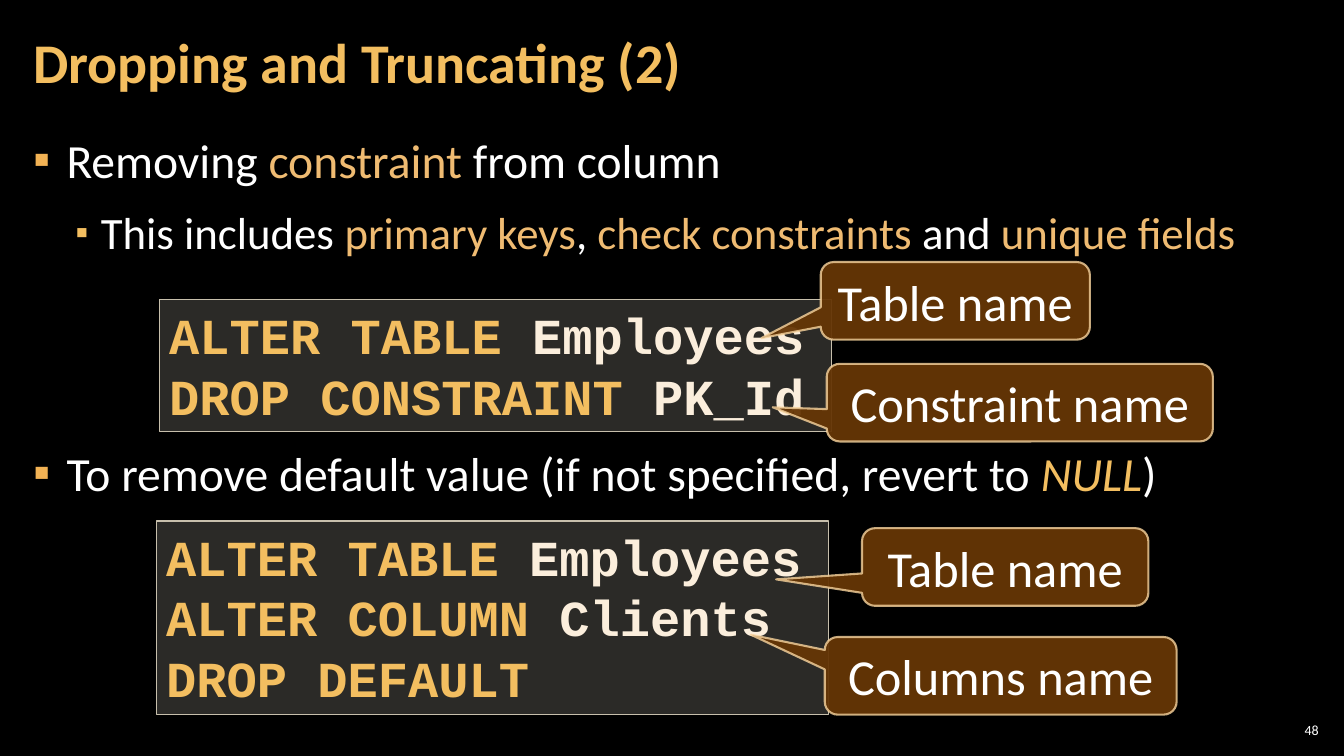
import pptx
import pptx.util
import pptx.dml.color
import pptx.enum.shapes
import pptx.enum.text
import pptx.oxml.ns
from lxml import etree

Inches = pptx.util.Inches
Pt = pptx.util.Pt
ALIGN = pptx.enum.text.PP_ALIGN
ANCHOR = pptx.enum.text.MSO_ANCHOR
SHAPE = pptx.enum.shapes.MSO_SHAPE

COLORS = {
    "background": "000000", "text": "FFFFFF", "title": "F3BE60",
    "accent": "EFBB72", "bullet": "F2B254", "code": "FBEEDC",
    "panel": "D9D5C7", "panel line": "C7BFAC",
    "callout": "663606", "callout line": "F8D49E",
}


def rgb(name):
    return pptx.dml.color.RGBColor.from_string(COLORS[name])


def add_element(parent, tag, **attributes):
    child = etree.SubElement(parent, pptx.oxml.ns.qn(tag))
    for key, value in attributes.items():
        child.set(key, value)
    return child


def set_alpha(shape, tag, percent):
    """Set the opacity of the fill (a:solidFill) or line (a:ln) of a shape."""
    holder = shape.element.spPr.find(pptx.oxml.ns.qn(tag))
    color = next(holder.iter(pptx.oxml.ns.qn("a:srgbClr")))
    add_element(color, "a:alpha", val=str(percent * 1000))


def place(shape, box):
    shape.left, shape.top, shape.width, shape.height = map(Inches, box)


def set_frame(frame, side=0.1, edge=0.05, anchor=ANCHOR.TOP):
    frame.word_wrap = True
    frame.auto_size = pptx.enum.text.MSO_AUTO_SIZE.NONE
    frame.margin_left = frame.margin_right = Inches(side)
    frame.margin_top = frame.margin_bottom = Inches(edge)
    frame.vertical_anchor = anchor


def write(para, spans, size, font="Calibri", bold=False, align=ALIGN.LEFT,
          before=0, after=0, spacing=1.0):
    """Fill a paragraph with (text, color name) spans; a third item means italic."""
    para.alignment = align
    para.space_before, para.space_after = Pt(before), Pt(after)
    para.line_spacing = spacing
    for text, color, *italic in spans:
        span = para.add_run()
        span.text = text
        span.font.name, span.font.size = font, Pt(size)
        span.font.bold, span.font.italic = bold, bool(italic)
        span.font.color.rgb = rgb(color)


def add_bullet(para, color, indent, hanging, percent):
    properties = para._p.get_or_add_pPr()
    properties.set("marL", str(Inches(indent)))
    properties.set("indent", str(-Inches(hanging)))
    holder = add_element(properties, "a:buClr")
    add_element(holder, "a:srgbClr", val=COLORS[color])
    add_element(properties, "a:buSzPct", val=str(percent * 1000))
    add_element(properties, "a:buFont", typeface="Calibri")
    add_element(properties, "a:buChar", char="▪")


def fill_title(page, box, text):
    title = page.shapes.title
    place(title, box)
    set_frame(title.text_frame, 0.12, 0.04, ANCHOR.MIDDLE)
    write(title.text_frame.paragraphs[0], [(text, "title")], 40, bold=True, spacing=0.9)


def fill_body(page, box, items):
    """Fill the body with (level, space before, spans) items."""
    body = page.placeholders[1]
    place(body, box)
    frame = body.text_frame
    set_frame(frame, 0.12, 0.04)
    for index, (level, before, spans) in enumerate(items):
        para = frame.add_paragraph() if index else frame.paragraphs[0]
        para.level = level
        if level:
            add_bullet(para, "title", 0.67, 0.25, 80)
        else:
            add_bullet(para, "bullet", 0.33, 0.33, 100)
        write(para, spans, 32 if level else 34, before=before, after=6)


def add_panel(page, kind, box, fill, fill_alpha, line, line_width, anchor):
    shape = page.shapes.add_shape(kind, *map(Inches, box))
    shape.shadow.inherit = False
    shape.fill.solid()
    shape.fill.fore_color.rgb = rgb(fill)
    set_alpha(shape, "a:solidFill", fill_alpha)
    shape.line.color.rgb = rgb(line)
    shape.line.width = Pt(line_width)
    set_frame(shape.text_frame, anchor=anchor)
    return shape


def add_code(page, box, lines):
    """Add a code panel from (keywords, name) lines."""
    panel = add_panel(page, SHAPE.RECTANGLE, box, "panel", 20, "panel line", 1, ANCHOR.TOP)
    frame = panel.text_frame
    for index, (keywords, name) in enumerate(lines):
        para = frame.add_paragraph() if index else frame.paragraphs[0]
        spans = [(keywords, "title")] + ([(name, "code")] if name else [])
        write(para, spans, 36, font="Courier New", bold=True)


def add_callout(page, box, tip, text):
    """Add a callout whose tip is given as shares of its size from its centre."""
    callout = add_panel(page, SHAPE.ROUNDED_RECTANGULAR_CALLOUT, box, "callout", 95,
                        "callout line", 1.5, ANCHOR.MIDDLE)
    set_alpha(callout, "a:ln", 80)
    callout.adjustments[0], callout.adjustments[1] = tip
    write(callout.text_frame.paragraphs[0], [(text, "text")], 36, align=ALIGN.CENTER)


def add_page_number(page, box, number):
    label = page.shapes.add_textbox(*map(Inches, box))
    set_frame(label.text_frame, 0.04, 0.04, ANCHOR.MIDDLE)
    write(label.text_frame.paragraphs[0], [(number, "text")], 10, align=ALIGN.RIGHT)


def build_slide(deck):
    page = deck.slides.add_slide(deck.slide_layouts[1])
    page.background.fill.solid()
    page.background.fill.fore_color.rgb = rgb("background")
    add_page_number(page, (12.65, 7.14, 0.47, 0.21), "48")
    fill_title(page, (0.21, 0.04, 10.47, 1.21), "Dropping and Truncating (2)")
    fill_body(page, (0.21, 1.26, 12.91, 6.09), [
        (0, 0, [("Removing ", "text"), ("constraint ", "accent"), ("from column", "text")]),
        (1, 6, [("This includes ", "text"), ("primary keys", "accent"), (", ", "text"),
                ("check constraints ", "accent"), ("and ", "text"),
                ("unique fields", "accent")]),
        (0, 126, [("To remove default value (if not specified, revert to ", "text"),
                  ("NULL", "title", "italic"), (")", "text")]),
    ])
    add_code(page, (1.58, 2.97, 6.67, 1.31), [
        ("ALTER TABLE ", "Employees"), ("DROP CONSTRAINT ", "PK_Id")])
    add_code(page, (1.55, 5.17, 6.67, 1.92), [
        ("ALTER TABLE ", "Employees"), ("ALTER COLUMN ", "Clients"), ("DROP DEFAULT", "")])
    for left, top, width, tip, text in [
        (8.14, 2.6, 2.67, (-0.72, 0.48), "Table name"),
        (8.2, 3.61, 3.83, (-0.64, 0.06), "Constraint name"),
        (8.55, 5.24, 2.84, (-0.8, 0.16), "Table name"),
        (8.18, 6.32, 3.49, (-0.71, -0.53), "Columns name"),
    ]:
        add_callout(page, (left, top, width, 0.77), tip, text)


def main():
    deck = pptx.Presentation()
    deck.slide_width, deck.slide_height = Inches(13.33), Inches(7.5)
    build_slide(deck)
    deck.save("out.pptx")


if __name__ == "__main__":
    main()
